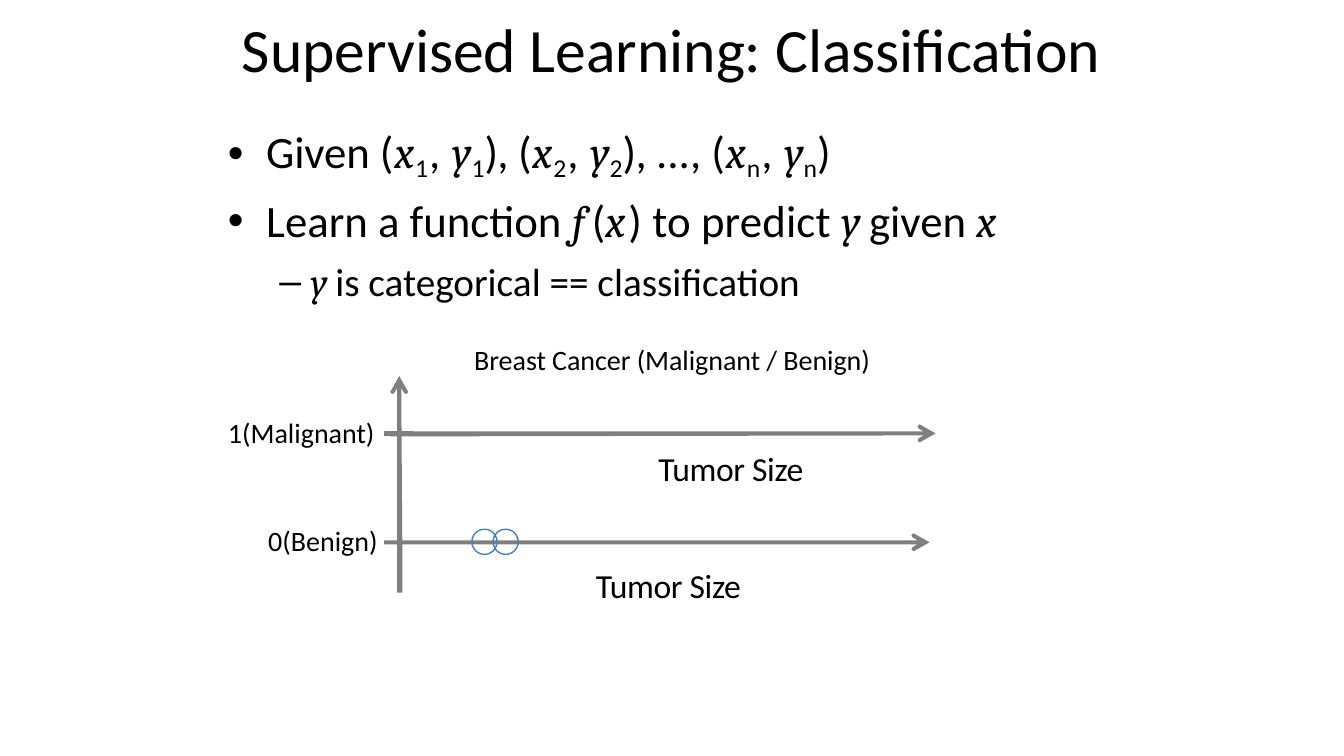
from lxml.etree import SubElement
from pptx import Presentation
from pptx.dml.color import RGBColor
from pptx.enum.shapes import MSO_SHAPE
from pptx.enum.text import PP_ALIGN
from pptx.oxml.ns import qn
from pptx.util import Emu, Pt

PX = 9144  # EMU per px, 100 px to the inch
BLACK = RGBColor(0x00, 0x00, 0x00)
GREY = RGBColor(0x7F, 0x7F, 0x7F)
BLUE = RGBColor(0x4A, 0x7E, 0xBB)
BODY, MATH = "Calibri", "Cambria"

# Half an arrowhead, from shaft to barb: distance behind the tip, distance from the axis
BARB = [(12, 2), (17, 5), (18, 7), (16, 9)]
HEAD = BARB + [(0, 0)] + [(back, -side) for back, side in reversed(BARB)]


def px(length):
    return Emu(length * PX)


def right_head(tip_x, tip_y):
    return [(tip_x - back, tip_y + side) for back, side in HEAD]


def up_head(tip_x, tip_y):
    return [(tip_x + side, tip_y + back) for back, side in HEAD]


def write_span(para, text, size=20, font=BODY, italic=False, spacing=0, baseline=0):
    """Add one run; spacing is in points, baseline in percent."""
    span = para.add_run()
    span.text = text
    span.font.size = Pt(size)
    span.font.name = font
    span.font.italic = italic
    span.font.color.rgb = BLACK
    properties = span.font._element
    if spacing:
        properties.set("spc", str(round(spacing * 100)))
    if baseline:
        properties.set("baseline", str(baseline * 1000))


class SlideWriter:
    def __init__(self, deck):
        self.page = deck.slides.add_slide(deck.slide_layouts[6])

    def text_box(self, left, top, width, height):
        frame = self.page.shapes.add_textbox(px(left), px(top), px(width), px(height)).text_frame
        frame.word_wrap = True
        frame.margin_left = frame.margin_top = frame.margin_right = frame.margin_bottom = 0
        return frame

    def label(self, text, left, top, width, height, align=PP_ALIGN.LEFT, **style):
        para = self.text_box(left, top, width, height).paragraphs[0]
        para.alignment = align
        write_span(para, text, **style)

    def bullet_list(self, left, top, width, height, items):
        """Each item is (bullet, text indent, hanging indent, spans)."""
        frame = self.text_box(left, top, width, height)
        for number, (bullet, indent, hanging, spans) in enumerate(items):
            para = frame.add_paragraph() if number else frame.paragraphs[0]
            if number:
                para.space_before = Pt(7.6)
            properties = para._p.get_or_add_pPr()
            properties.set("marL", str(px(indent)))
            properties.set("indent", str(px(-hanging)))
            SubElement(properties, qn("a:buFont")).set("typeface", "Arial")
            SubElement(properties, qn("a:buChar")).set("char", bullet)
            for text, style in spans:
                write_span(para, text, **style)

    def outline(self, points):
        builder = self.page.shapes.build_freeform(*points[0], scale=PX)
        builder.add_line_segments(points[1:], close=True)
        shape = builder.convert_to_shape()
        shape.shadow.inherit = False
        shape.fill.solid()
        shape.fill.fore_color.rgb = GREY
        shape.line.fill.background()

    def tick(self, left, right, y):
        builder = self.page.shapes.build_freeform(left, y, scale=PX)
        builder.add_line_segments([(right, y)], close=False)
        shape = builder.convert_to_shape()
        shape.shadow.inherit = False
        shape.fill.background()
        shape.line.color.rgb = GREY
        shape.line.width = Pt(3)

    def circle(self, left, top, size):
        circle = self.page.shapes.add_shape(
            MSO_SHAPE.OVAL, px(left), px(top), px(size), px(size))
        circle.shadow.inherit = False
        circle.fill.background()
        circle.line.color.rgb = BLUE
        circle.line.width = Pt(1)


def plain(text, size=32, spacing=0):
    return text, dict(size=size, spacing=spacing)


def symbol(text, size=32, spacing=0):
    return text, dict(size=size, font=MATH, italic=True, spacing=spacing)


def pair(index):
    """Spans of one training pair (x, y) with its subscripts."""
    def subscript(spacing):
        return index, dict(size=31.5, spacing=spacing, baseline=-19)
    return [plain("(", spacing=0.6), symbol("x", spacing=0.6), subscript(0.8),
            plain(", ", spacing=0.6), symbol("y", spacing=-0.5), subscript(-0.8)]


def main():
    deck = Presentation()
    deck.slide_width, deck.slide_height = px(1333), px(750)
    slide = SlideWriter(deck)

    # Title
    slide.label("Supervised Learning: Classification", 240, 11, 870, 76, size=44, spacing=-0.05)

    # Bullets
    comma = plain("), ", spacing=-0.5)
    given = [plain("Given ", spacing=-0.1), *pair("1"), comma, *pair("2"), comma,
             plain("..., "), *pair("n"), plain(")", spacing=-0.7)]
    learn = [plain("Learn a function "), symbol("f", spacing=5), plain("("),
             symbol("x", spacing=2.1), plain(") to predict ", spacing=0.1),
             symbol("y ", spacing=-1.1), plain("given "), symbol("x")]
    categorical = [symbol("y ", 28, -0.5), plain("is categorical == classification", 28)]
    slide.bullet_list(220, 123, 789, 190, [
        ("•", 44, 38, given), ("•", 44, 38, learn), ("–", 88, 31, categorical)])

    # Chart heading and class labels
    slide.label("Breast Cancer (Malignant / Benign)", 460, 340, 413, 34,
                align=PP_ALIGN.CENTER, spacing=-0.05)
    slide.label("1(Malignant)", 226, 412, 152, 34)
    slide.label("0(Benign)", 266, 519, 113, 34)

    # Pair of axes, with the crossing ends left of and below the origin
    slide.outline(
        [(399, 536)] + up_head(396, 373)
        + [(394, 536), (381, 536), (381, 540), (394, 540), (394, 588), (399, 588), (399, 540)]
        + right_head(922, 538))

    # Upper axis and tick
    slide.outline([(387, 433)] + right_head(928, 430) + [(387, 428)])
    slide.tick(381, 410, 430)

    # Axis names
    for left, top in ((653, 444), (591, 560)):
        slide.label("Tumor Size", left, top, 150, 40, size=24, spacing=-0.25)

    # Benign samples
    for left in (468, 489):
        slide.circle(left, 525, 25)

    deck.save("out.pptx")


if __name__ == "__main__":
    main()
